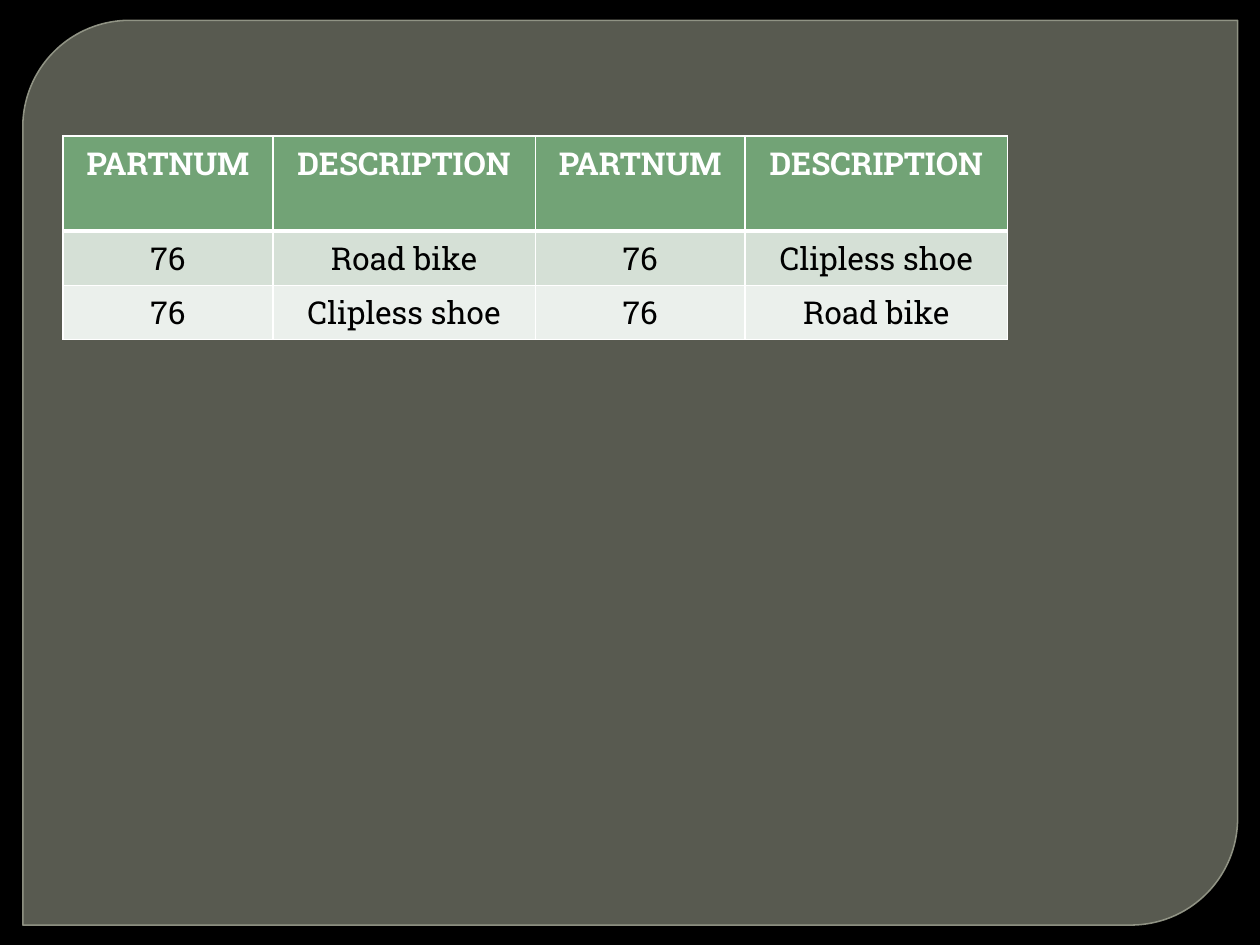
from dataclasses import dataclass

from pptx import Presentation
from pptx.dml.color import RGBColor
from pptx.enum.shapes import MSO_SHAPE as Preset
from pptx.enum.text import PP_ALIGN as Align
from pptx.oxml import parse_xml
from pptx.oxml.ns import nsdecls, qn
from pptx.util import Cm, Pt

FONT = "Roboto Slab"
WHITE = "FFFFFF"
BLACK = "000000"


@dataclass
class TableRow:
    texts: tuple[str, ...]
    height: float
    fill: str
    color: str = BLACK
    bold: bool = False
    top: int = 1
    bottom: int = 1


ROWS = [
    TableRow(("PARTNUM", "DESCRIPTION") * 2, 1.92, "72A376", WHITE, True, bottom=3),
    TableRow(("76", "Road bike", "76", "Clipless shoe"), 1, "D5E0D6", top=3),
    TableRow(("76", "Clipless shoe", "76", "Road bike"), 1, "EBF0EC"),
]
COLUMN_WIDTHS = (4.23, 5.29) * 2


def paint(target, color: str, opacity: int = 100) -> None:
    target.solid()
    target.fore_color.rgb = RGBColor.from_string(color)
    if opacity < 100:
        alpha = parse_xml(f'<a:alpha {nsdecls("a")} val="{opacity * 1000}"/>')
        target._xPr.find(".//" + qn("a:srgbClr")).append(alpha)


def set_borders(cell, top: int, bottom: int) -> None:
    properties = cell._tc.get_or_add_tcPr()
    widths = {"lnL": 1, "lnR": 1, "lnT": top, "lnB": bottom}
    for index, (side, width) in enumerate(widths.items()):
        border = parse_xml(
            f'<a:{side} {nsdecls("a")} w="{Pt(width)}"><a:solidFill>'
            f'<a:srgbClr val="{WHITE}"/></a:solidFill></a:{side}>'
        )
        properties.insert(index, border)


def add_panel(page) -> None:
    panel = page.shapes.add_shape(
        Preset.ROUND_2_DIAG_RECTANGLE, Cm(0.46), Cm(0.41), Cm(24.49), Cm(18.24)
    )
    panel.shadow.inherit = False
    panel.adjustments[0] = 0.118
    panel.adjustments[1] = 0
    paint(panel.fill, "888B7B", 65)
    paint(panel.line.fill, "9DA090", 88)
    panel.line.width = Pt(0.87)


def fill_row(table, index: int, row: TableRow) -> None:
    table.rows[index].height = Cm(row.height)
    for column, text in enumerate(row.texts):
        cell = table.cell(index, column)
        paint(cell.fill, row.fill)
        set_borders(cell, row.top, row.bottom)
        para = cell.text_frame.paragraphs[0]
        para.text = text
        para.alignment = Align.CENTER
        para.font.name = FONT
        para.font.size = Pt(18)
        para.font.bold = row.bold
        paint(para.font.fill, row.color)


def add_parts_table(page) -> None:
    table = page.shapes.add_table(
        len(ROWS), len(COLUMN_WIDTHS), Cm(1.27), Cm(2.74),
        Cm(sum(COLUMN_WIDTHS)), Cm(sum(row.height for row in ROWS)),
    ).table
    for column, width in zip(table.columns, COLUMN_WIDTHS):
        column.width = Cm(width)
    for index, row in enumerate(ROWS):
        fill_row(table, index, row)


deck = Presentation()
deck.slide_width = Cm(25.4)
deck.slide_height = Cm(19.05)
page = deck.slides.add_slide(deck.slide_layouts[6])
paint(page.background.fill, BLACK)
add_panel(page)
add_parts_table(page)
deck.save("out.pptx")
